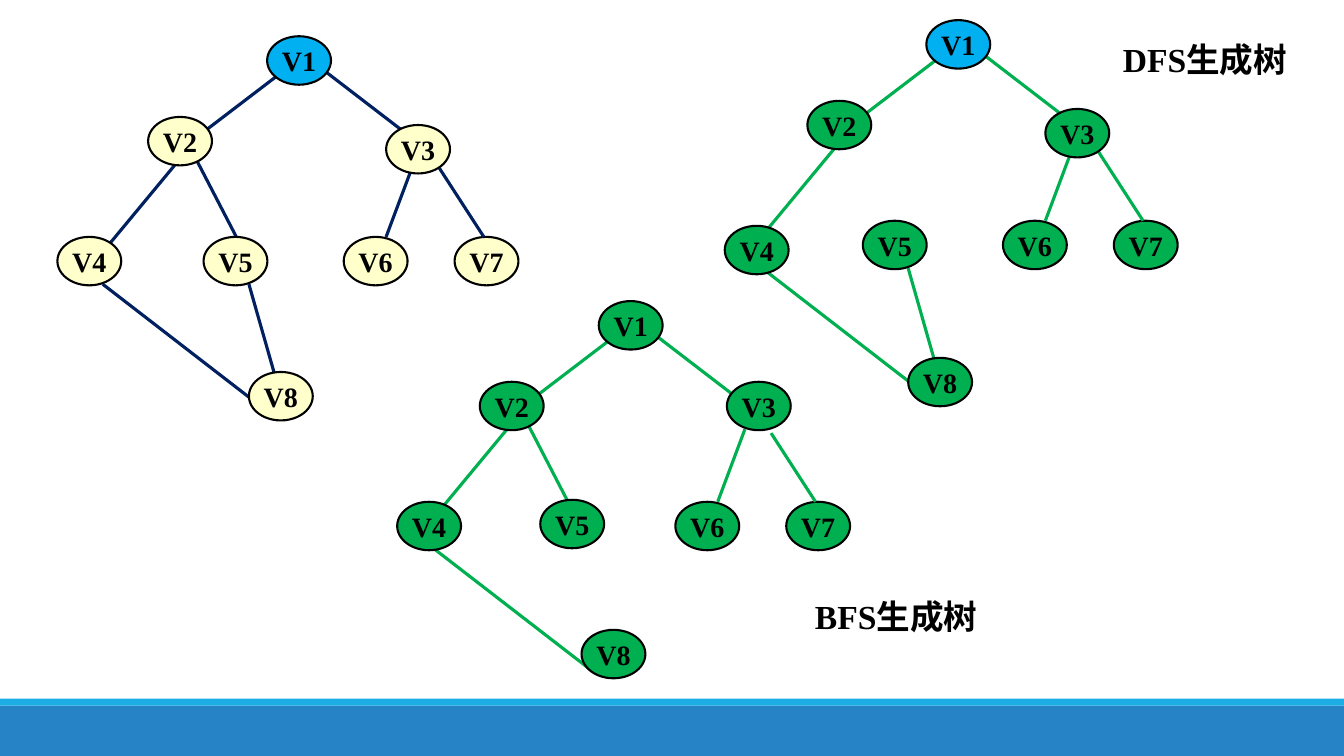
import pptx
import pptx.dml.color
import pptx.enum.shapes
import pptx.enum.text
import pptx.util
from lxml import etree

Pt = pptx.util.Pt
RGBColor = pptx.dml.color.RGBColor
Shape = pptx.enum.shapes.MSO_SHAPE
Align = pptx.enum.text.PP_ALIGN

BLACK = RGBColor(0x00, 0x00, 0x00)
NAVY = RGBColor(0x00, 0x20, 0x60)
CREAM = RGBColor(0xFF, 0xFF, 0xCC)
SKY = RGBColor(0x00, 0xB0, 0xF0)
GREEN = RGBColor(0x00, 0xB0, 0x50)
BAND_BLUE = RGBColor(0x26, 0x83, 0xC6)
BAND_CYAN = RGBColor(0x1C, 0xAD, 0xE4)

# The graph: top left corner of each vertex, and both ends of each edge
VERTICES = {
    "V7": (324.7, 169.2), "V6": (245.5, 169.2), "V3": (275.8, 89.3),
    "V2": (105.8, 83.5), "V5": (145.4, 169.2), "V1": (190.8, 25.9),
    "V8": (177.8, 265.7), "V4": (41, 169.2),
}
EDGES = {
    "V1-V2": (197.3, 54.7, 145.4, 94.3),
    "V2-V4": (125.3, 117.4, 73.4, 180),
    "V2-V5": (139, 111.6, 171.4, 174.2),
    "V5-V8": (177.8, 203, 197.3, 271.4),
    "V4-V8": (73.4, 203, 184.3, 288.7),
    "V1-V3": (229.7, 49, 288.7, 94.3),
    "V3-V6": (295.2, 117.4, 275.8, 169.2),
    "V3-V7": (313.9, 120.2, 345.6, 169.2),
}
BEHIND_EDGES = ("V7", "V6")


class GraphSlide:
    font_name = "Times New Roman"
    vertex_width, vertex_height = 45.6, 34.6

    def __init__(self, slide):
        self.shapes = slide.shapes

    def style_text(self, frame, text, size, align):
        frame.text = text
        paragraph = frame.paragraphs[0]
        paragraph.alignment = align
        font = paragraph.runs[0].font
        font.name, font.size, font.bold = self.font_name, Pt(size), True
        font.color.rgb = BLACK

    def band(self, top, height, color):
        band = self.shapes.add_shape(Shape.RECTANGLE, 0, Pt(top), Pt(960), Pt(height))
        band.shadow.inherit = False
        band.fill.solid()
        band.fill.fore_color.rgb = color
        band.line.fill.background()

    def vertex(self, name, left, top, color):
        vertex = self.shapes.add_shape(Shape.OVAL, Pt(left), Pt(top),
                                       Pt(self.vertex_width), Pt(self.vertex_height))
        vertex.shadow.inherit = False
        vertex.fill.solid()
        vertex.fill.fore_color.rgb = color
        vertex.line.color.rgb = BLACK
        vertex.line.width = Pt(1.5)
        vertex.text_frame.word_wrap = False
        vertex.text_frame.vertical_anchor = pptx.enum.text.MSO_ANCHOR.MIDDLE
        self.style_text(vertex.text_frame, name, 20, Align.CENTER)

    def edge(self, x1, y1, x2, y2, color):
        edge = self.shapes.add_connector(pptx.enum.shapes.MSO_CONNECTOR.STRAIGHT,
                                         Pt(x1), Pt(y1), Pt(x2), Pt(y2))
        edge.line.color.rgb = color
        edge.line.width = Pt(2.25)
        etree.SubElement(edge._element.spPr, pptx.oxml.ns.qn("a:effectLst"))

    def caption(self, text, left, top):
        caption = self.shapes.add_textbox(Pt(left), Pt(top), Pt(157), Pt(36))
        caption.text_frame.word_wrap = True
        self.style_text(caption.text_frame, text, 24, Align.LEFT)

    def graph(self, dx, dy, fill, root_fill, edge_color, omitted=(), nudges=None):
        """Draw the graph moved by (dx, dy); nudges shift single vertices."""
        def draw_vertices(names):
            for name in names:
                left, top = VERTICES[name]
                nudge_x, nudge_y = (nudges or {}).get(name, (0, 0))
                self.vertex(name, left + dx + nudge_x, top + dy + nudge_y,
                            root_fill if name == "V1" else fill)

        draw_vertices(BEHIND_EDGES)
        for name, (x1, y1, x2, y2) in EDGES.items():
            if name not in omitted:
                self.edge(x1 + dx, y1 + dy, x2 + dx, y2 + dy, edge_color)
        draw_vertices(name for name in VERTICES if name not in BEHIND_EDGES)


def main():
    deck = pptx.Presentation()
    deck.slide_width, deck.slide_height = Pt(960), Pt(540)
    page = GraphSlide(deck.slides.add_slide(deck.slide_layouts[6]))

    # Footer bands
    page.band(504, 36, BAND_BLUE)
    page.band(499, 5, BAND_CYAN)

    # Full graph
    page.graph(0, 0, CREAM, SKY, NAVY)

    # Depth-first spanning tree
    page.graph(470.9, -11.5, GREEN, SKY, GREEN, omitted=("V2-V5",),
               nudges={"V4": (5.8, 3.6), "V8": (0, 1.4)})
    page.caption("DFS生成树", 795, 24.5)

    # Breadth-first spanning tree
    page.graph(236.9, 189.2, GREEN, GREEN, GREEN, omitted=("V5-V8",),
               nudges={"V3": (6.5, -5.8), "V4": (5.8, 0),
                       "V5": (3.6, -1.4), "V8": (0.7, -5)})
    page.caption("BFS生成树", 575, 422)

    deck.save("out.pptx")


if __name__ == "__main__":
    main()
